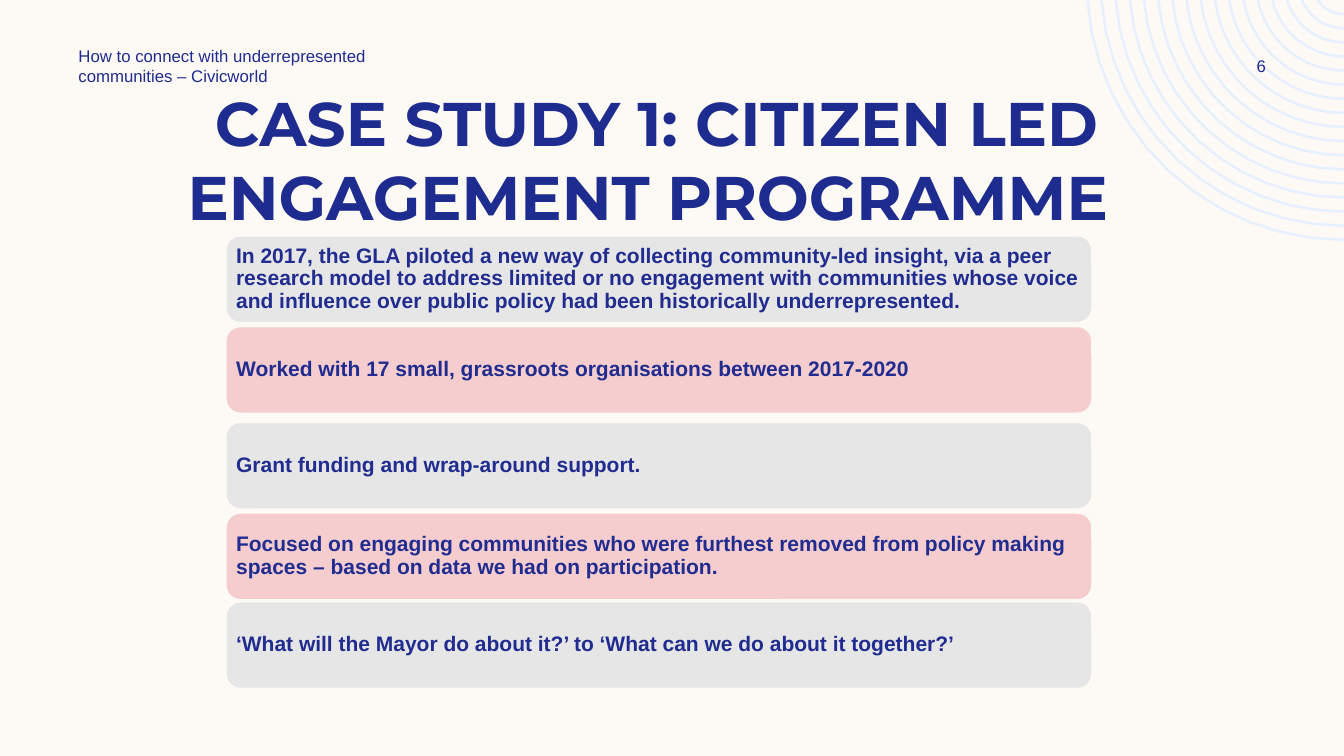
import math

from pptx import Presentation
from pptx.dml.color import RGBColor
from pptx.enum.shapes import MSO_SHAPE
from pptx.enum.text import MSO_ANCHOR, MSO_AUTO_SIZE, PP_ALIGN
from pptx.util import Inches, Pt

ROUNDED = MSO_SHAPE.ROUNDED_RECTANGLE
TOP, MIDDLE = MSO_ANCHOR.TOP, MSO_ANCHOR.MIDDLE
LEFT, CENTER = PP_ALIGN.LEFT, PP_ALIGN.CENTER
NO_FIT = MSO_AUTO_SIZE.NONE

CREAM = RGBColor(0xFD, 0xFA, 0xF6)
NAVY = RGBColor(0x1F, 0x2C, 0x8F)
BAR_NAVY = RGBColor(0x20, 0x2C, 0x8F)
PALE_BLUE = RGBColor(0xE6, 0xF0, 0xFE)
GREY = RGBColor(0xE7, 0xE6, 0xE6)
PINK = RGBColor(0xF5, 0xCD, 0xCE)

WIDTH, HEIGHT = 13.33, 7.5
TITLE_ONLY = 5

TITLE = "CASE STUDY 1: CITIZEN LED ENGAGEMENT PROGRAMME "
HEADER = "How to connect with underrepresented communities – Civicworld"
PAGE_NUMBER = "6"
BARS = [
    (2.34, "In 2017, the GLA piloted a new way of collecting community-led insight, "
           "via a peer research model to address limited or no engagement with "
           "communities whose voice and influence over public policy had been "
           "historically underrepresented."),
    (3.24, "Worked with 17 small, grassroots organisations between 2017-2020"),
    (4.19, "Grant funding and wrap-around support."),
    (5.09, "Focused on engaging communities who were furthest removed from policy "
           "making spaces – based on data we had on participation."),
    (5.97, "‘What will the Mayor do about it?’ to ‘What can we do about it together?’"),
]

TITLE_FONT = {"name": "Montserrat", "size": Pt(44), "bold": True}
SMALL_FONT = {"name": "Arial", "size": Pt(12), "bold": False}
BAR_FONT = {"name": "Arial", "size": Pt(15), "bold": True}


def set_all(target, values):
    """Set every attribute in the dict of values."""
    for name, value in values.items():
        setattr(target, name, value)


def write(shape, text, font, color, align=LEFT, anchor=MIDDLE, spacing=1.0, **margins):
    """Fill a shape with one formatted paragraph."""
    frame = shape.text_frame
    set_all(frame, {"word_wrap": True, "auto_size": NO_FIT,
                    "vertical_anchor": anchor, **margins})
    para = frame.paragraphs[0]
    set_all(para, {"alignment": align, "line_spacing": spacing})
    span = para.add_run()
    span.text = text
    set_all(span.font, font)
    span.font.color.rgb = color


def ring_points(center_x, center_y, radius, steps=12):
    """Return points on a ring from the slide's top edge to its right edge."""
    start = math.pi - math.asin(-center_y / radius)
    angles = [start + (math.pi / 2 - start) * step / steps for step in range(steps + 1)]
    return [(Inches(center_x + radius * math.cos(angle)),
             Inches(center_y + radius * math.sin(angle))) for angle in angles]


def add_rings(page, right, count=17, outer=2.55, gap=0.14):
    """Draw evenly spaced concentric rings in the top right corner."""
    for ring in range(count):
        first, *others = ring_points(right, -0.17, outer - ring * gap)
        builder = page.shapes.build_freeform(*first)
        builder.add_line_segments(others, close=False)
        curve = builder.convert_to_shape()
        curve.shadow.inherit = False
        curve.fill.background()
        curve.line.color.rgb = PALE_BLUE
        curve.line.width = Pt(1.8)


def add_heading(page, box):
    """Place the title with the running header and page number above it."""
    left, top, width, height = box
    title = page.shapes.title
    set_all(title, {"left": Inches(left), "top": Inches(top),
                    "width": Inches(width), "height": Inches(height)})
    write(title, TITLE, TITLE_FONT, NAVY, CENTER, TOP)
    for text, start, label_width, align in (
            (HEADER, left, 3.5, LEFT),
            (PAGE_NUMBER, left + width - 0.38, 1.08, CENTER)):
        label = page.shapes.add_textbox(
            Inches(start), Inches(top - 0.29), Inches(label_width), Inches(0.3))
        write(label, text, SMALL_FONT, NAVY, align)


def add_bars(page, left, width, height):
    """Stack the rounded statement bars in alternating colours."""
    margins = dict.fromkeys(
        ("margin_left", "margin_right", "margin_top", "margin_bottom"), Inches(0.06))
    for index, (top, text) in enumerate(BARS):
        bar = page.shapes.add_shape(
            ROUNDED, Inches(left), Inches(top), Inches(width), Inches(height))
        bar.shadow.inherit = False
        bar.fill.solid()
        bar.fill.fore_color.rgb = (GREY, PINK)[index % 2]
        bar.line.color.rgb = CREAM
        bar.line.width = Pt(1)
        write(bar, text, BAR_FONT, BAR_NAVY, spacing=0.9, **margins)


def main():
    """Build and save the case study slide."""
    deck = Presentation()
    deck.slide_width, deck.slide_height = Inches(WIDTH), Inches(HEIGHT)
    page = deck.slides.add_slide(deck.slide_layouts[TITLE_ONLY])
    page.background.fill.solid()
    page.background.fill.fore_color.rgb = CREAM
    add_rings(page, WIDTH)
    add_heading(page, (0.68, 0.79, 11.67, 0.84))
    add_bars(page, 2.24, 8.59, 0.86)
    deck.save("out.pptx")


if __name__ == "__main__":
    main()
